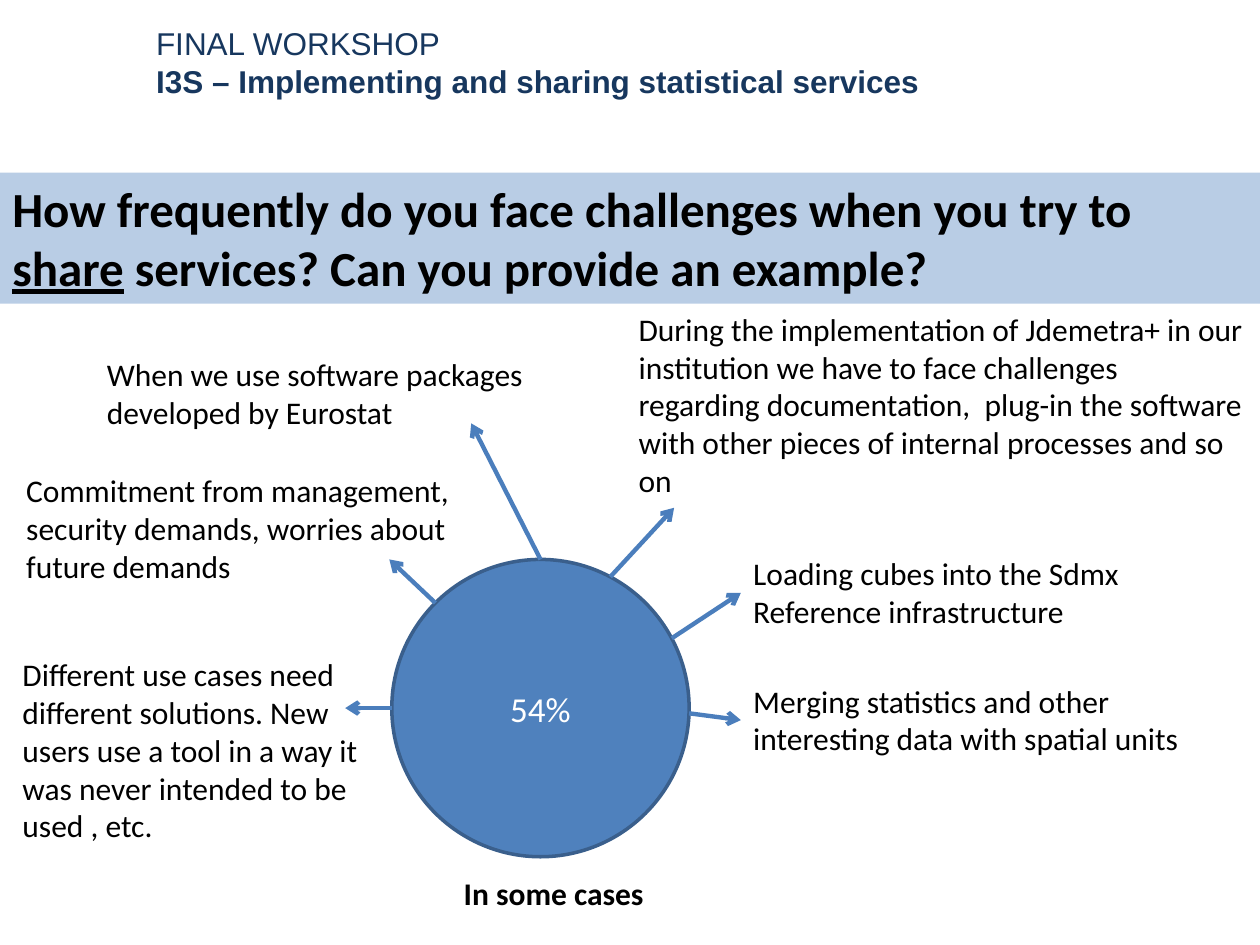
from dataclasses import dataclass
from math import cos, radians, sin

from lxml.etree import SubElement
from pptx import Presentation
from pptx.dml.color import RGBColor as Rgb
from pptx.enum.shapes import MSO_CONNECTOR as Link, MSO_SHAPE as Kind
from pptx.enum.text import MSO_ANCHOR as Anchor, MSO_AUTO_SIZE as Fit, PP_ALIGN as Align
from pptx.oxml.ns import qn
from pptx.util import Inches, Pt


@dataclass(frozen=True)
class Theme:
    ink: Rgb = Rgb(0x00, 0x00, 0x00)
    white: Rgb = Rgb(0xFF, 0xFF, 0xFF)
    navy: Rgb = Rgb(0x17, 0x37, 0x5E)
    band: Rgb = Rgb(0xB9, 0xCD, 0xE5)
    disc: Rgb = Rgb(0x4F, 0x81, 0xBD)
    edge: Rgb = Rgb(0x3A, 0x5F, 0x8C)
    arrow: Rgb = Rgb(0x4B, 0x7E, 0xBC)
    head: str = "Arial"
    body: str = "Calibri"
    title: int = 28
    value: int = 20
    text: int = 18


THEME = Theme()


def style(run, size=THEME.text, color=THEME.ink, name=THEME.body, bold=False):
    font = run.font
    font.size, font.name, font.bold = Pt(size), name, bold
    font.color.rgb = color


def label(slide, box, text, align=Align.LEFT, **look):
    shape = slide.shapes.add_textbox(*map(Inches, box))
    frame = shape.text_frame
    frame.word_wrap = True
    frame.auto_size = Fit.SHAPE_TO_FIT_TEXT
    frame.text = text
    for para in frame.paragraphs:
        para.alignment = align
        for run in para.runs:
            style(run, **look)
    return shape


def solid(slide, kind, box, fill):
    shape = slide.shapes.add_shape(kind, *map(Inches, box))
    shape.shadow.inherit = False
    shape.fill.solid()
    shape.fill.fore_color.rgb = fill
    return shape


def arrow(slide, start, end, note=None):
    line = slide.shapes.add_connector(Link.STRAIGHT, *map(Inches, start + end))
    if note is not None:
        line.end_connect(note, 1)
    line.line.color.rgb = THEME.arrow
    line.line.width = Pt(2.5)
    SubElement(line.line._get_or_add_ln(), qn("a:tailEnd"), type="arrow")
    SubElement(line._element.spPr, qn("a:effectLst"))


def header(slide, box):
    shape = label(slide, box,
                  "FINAL WORKSHOP\nI3S – Implementing and sharing statistical services",
                  color=THEME.navy, name=THEME.head)
    shape.text_frame.paragraphs[1].runs[0].font.bold = True


def question(slide, box):
    band = solid(slide, Kind.RECTANGLE, box, THEME.band)
    band.line.fill.background()
    frame = band.text_frame
    frame.word_wrap = True
    frame.vertical_anchor = Anchor.TOP
    para = frame.paragraphs[0]
    para.alignment = Align.LEFT
    for text, under in (("How frequently do you face challenges when you try to ", False),
                        ("share", True),
                        (" services? Can you provide an example?", False)):
        run = para.add_run()
        run.text = text
        style(run, THEME.title, bold=True)
        run.font.underline = under


# Answers: text, place in the region, arrow angle on the disc, arrow tip
# (no tip: the arrow joins the left side of the answer)
ANSWERS = (
    ("Different use cases need different solutions. New users use a tool "
     "in a way it was never intended to be used , etc.",
     (0.08, 2.74, 2.91, 1.62), 180, (2.74, 3.21)),
    ("Commitment from management, security demands, worries about future demands",
     (0.11, 1.28, 4.18, 1.01), 225, (3.09, 2.03)),
    ("When we use software packages developed by Eurostat",
     (0.75, 0.36, 3.98, 0.71), 270, (3.74, 0.95)),
    ("During the implementation of Jdemetra+ in our institution we have to face "
     "challenges regarding documentation,  plug-in the software with other pieces "
     "of internal processes and so on",
     (4.97, 0, 5, 1.62), 298, (5.35, 1.62)),
    ("Loading cubes into the Sdmx Reference infrastructure",
     (5.88, 1.94, 4, 0.71), 332, None),
    ("Merging statistics and other interesting data with spatial units",
     (5.88, 2.95, 4.16, 0.71), 2, None),
)


def answers(slide, box):
    left, top, width, height = box
    radius = 1.18
    mid_x, mid_y = left + 4.29, top + 3.21

    # Share of replies
    disc = solid(slide, Kind.OVAL,
                 (mid_x - radius, mid_y - radius, 2 * radius, 2 * radius), THEME.disc)
    disc.line.color.rgb = THEME.edge
    disc.line.width = Pt(2)
    frame = disc.text_frame
    frame.text = "54%"
    frame.vertical_anchor = Anchor.MIDDLE
    frame.paragraphs[0].alignment = Align.CENTER
    style(frame.paragraphs[0].runs[0], THEME.value, THEME.white)
    label(slide, (left + 3.43, top + 4.48, 1.93, 0.4), "In some cases",
          Align.CENTER, bold=True)

    # Answers around the disc
    for text, (x, y, wide, high), angle, tip in ANSWERS:
        note = label(slide, (left + x, top + y, wide, high), text)
        turn = radians(angle)
        start = (mid_x + radius * cos(turn), mid_y + radius * sin(turn))
        if tip:
            arrow(slide, start, (left + tip[0], top + tip[1]))
        else:
            arrow(slide, start, (left + x, top + y + high / 2), note)


def main():
    deck = Presentation()
    deck.slide_width, deck.slide_height = Inches(10), Inches(7.5)
    slide = deck.slides.add_slide(deck.slide_layouts[6])
    question(slide, (0, 1.37, 10, 1.04))
    answers(slide, (0, 2.41, 10, 5.09))
    header(slide, (1.14, 0.14, 8.35, 0.71))
    deck.save("out.pptx")


if __name__ == "__main__":
    main()
